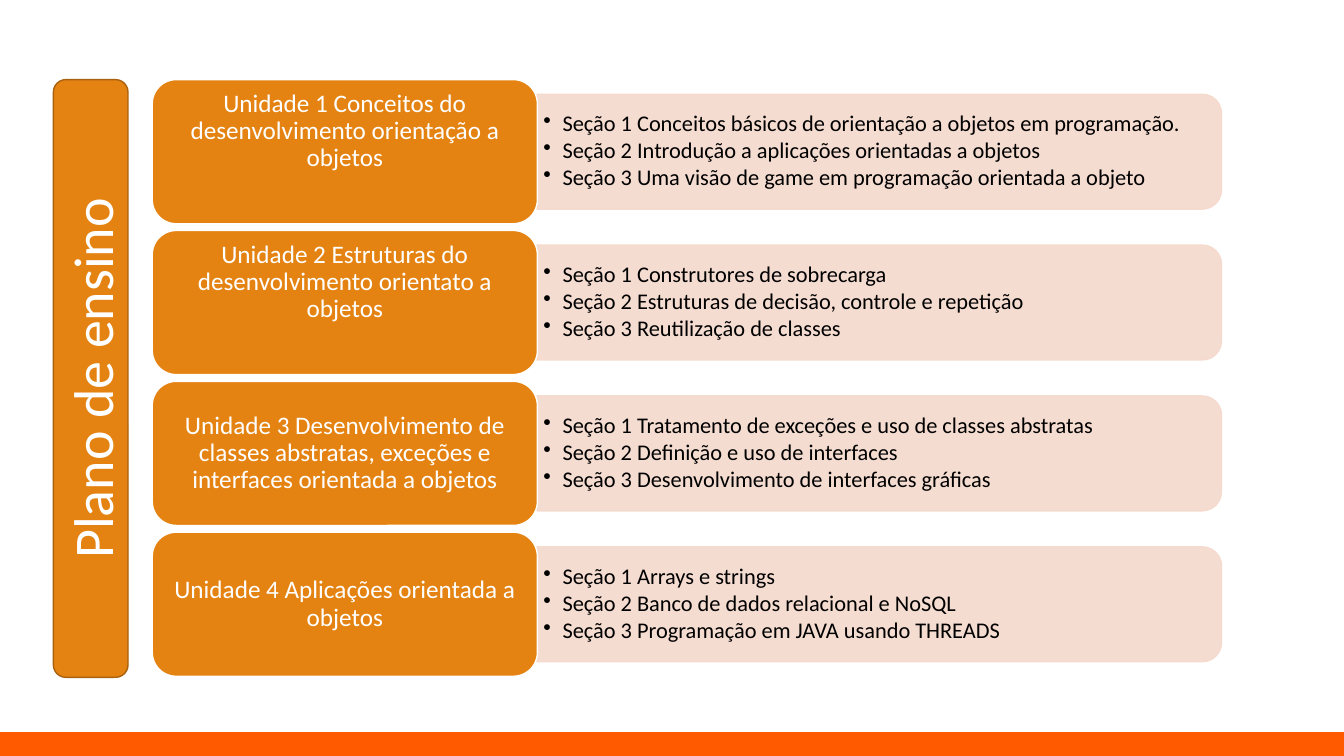
import pptx
import pptx.util
import pptx.dml.color
import pptx.enum.shapes
import pptx.enum.text
import pptx.oxml.ns
import lxml.etree

Inches = pptx.util.Inches
Pt = pptx.util.Pt
qn = pptx.oxml.ns.qn
Kind = pptx.enum.shapes.MSO_SHAPE
Align = pptx.enum.text.PP_ALIGN
Anchor = pptx.enum.text.MSO_ANCHOR

hues = {"bar": "FF5A00", "unit": "E48312", "edge": "A9610D",
        "pale": "F5D9CC", "white": "FFFFFF", "black": "000000"}

units = [
    ("Unidade 1 Conceitos do desenvolvimento orientação a objetos", Anchor.TOP,
     ["Seção 1 Conceitos básicos de orientação a objetos em programação.",
      "Seção 2 Introdução a aplicações orientadas a objetos",
      "Seção 3 Uma visão de game em programação orientada a objeto"]),
    ("Unidade 2 Estruturas do desenvolvimento orientato a objetos", Anchor.TOP,
     ["Seção 1 Construtores de sobrecarga",
      "Seção 2 Estruturas de decisão, controle e repetição",
      "Seção 3 Reutilização de classes"]),
    ("Unidade 3 Desenvolvimento de classes abstratas, exceções e interfaces orientada a objetos",
     Anchor.MIDDLE,
     ["Seção 1 Tratamento de exceções e uso de classes abstratas",
      "Seção 2 Definição e uso de interfaces",
      "Seção 3 Desenvolvimento de interfaces gráficas"]),
    ("Unidade 4 Aplicações orientada a objetos", Anchor.MIDDLE,
     ["Seção 1 Arrays e strings",
      "Seção 2 Banco de dados relacional e NoSQL",
      "Seção 3 Programação em JAVA usando THREADS"]),
]

deck = pptx.Presentation()
deck.slide_width = Inches(13.33)
deck.slide_height = Inches(7.5)
slide = deck.slides.add_slide(deck.slide_layouts[6])


def add_box(kind, left, top, width, height, fill, line):
    box = slide.shapes.add_shape(kind, Inches(left), Inches(top), Inches(width), Inches(height))
    box.shadow.inherit = False
    box.fill.solid()
    box.fill.fore_color.rgb = pptx.dml.color.RGBColor.from_string(hues[fill])
    box.line.color.rgb = pptx.dml.color.RGBColor.from_string(hues[line])
    box.line.width = Pt(1)
    return box


def set_text(shape, text, size, hue, align, anchor, side, edge):
    frame = shape.text_frame
    frame.text = text
    frame.word_wrap = True
    frame.vertical_anchor = anchor
    frame.margin_left = frame.margin_right = Inches(side)
    frame.margin_top = frame.margin_bottom = Inches(edge)
    for para in frame.paragraphs:
        para.alignment = align
        for run in para.runs:
            run.font.name = "Calibri"
            run.font.size = Pt(size)
            run.font.color.rgb = pptx.dml.color.RGBColor.from_string(hues[hue])
    return frame


add_box(Kind.RECTANGLE, 0, 7.27, 13.33, 0.23, "bar", "bar")

step = (5.28 - 0.79) / 3
for row, (name, anchor, parts) in enumerate(units):
    top = 0.79 + row * step
    mid = top + 1.43 / 2

    panel = add_box(Kind.ROUND_2_SAME_RECTANGLE, 8.15, mid - 6.79 / 2, 1.14, 6.79, "pale", "pale")
    panel.rotation = 90
    for tint in panel._element.spPr.iter(qn("a:srgbClr")):
        lxml.etree.SubElement(tint, qn("a:alpha")).set("val", "90000")

    notes = slide.shapes.add_textbox(Inches(5.32), Inches(mid - 1.03 / 2), Inches(6.73), Inches(1.03))
    frame = set_text(notes, "\n".join(parts), 16, "black", Align.LEFT, Anchor.MIDDLE, 0.07, 0.03)
    for para in frame.paragraphs:
        para.line_spacing = 0.9
        para.space_after = Pt(2)
        props = para._p.get_or_add_pPr()
        props.set("marL", str(Inches(0.19)))
        props.set("indent", str(-Inches(0.19)))
        lxml.etree.SubElement(props, qn("a:buChar")).set("char", "•")

    unit = add_box(Kind.ROUNDED_RECTANGLE, 1.51, top, 3.82, 1.43, "unit", "white")
    frame = set_text(unit, name, 18, "white", Align.CENTER, anchor, 0.07, 0.04)
    frame.paragraphs[0].line_spacing = 0.9

title = add_box(Kind.ROUNDED_RECTANGLE, 0.53, 0.79, 0.74, 5.93, "unit", "edge")
frame = set_text(title, "Plano de ensino", 40, "white", Align.CENTER, Anchor.MIDDLE, 0.1, 0.05)
frame._txBody.bodyPr.set("vert", "vert270")

deck.save("out.pptx")
